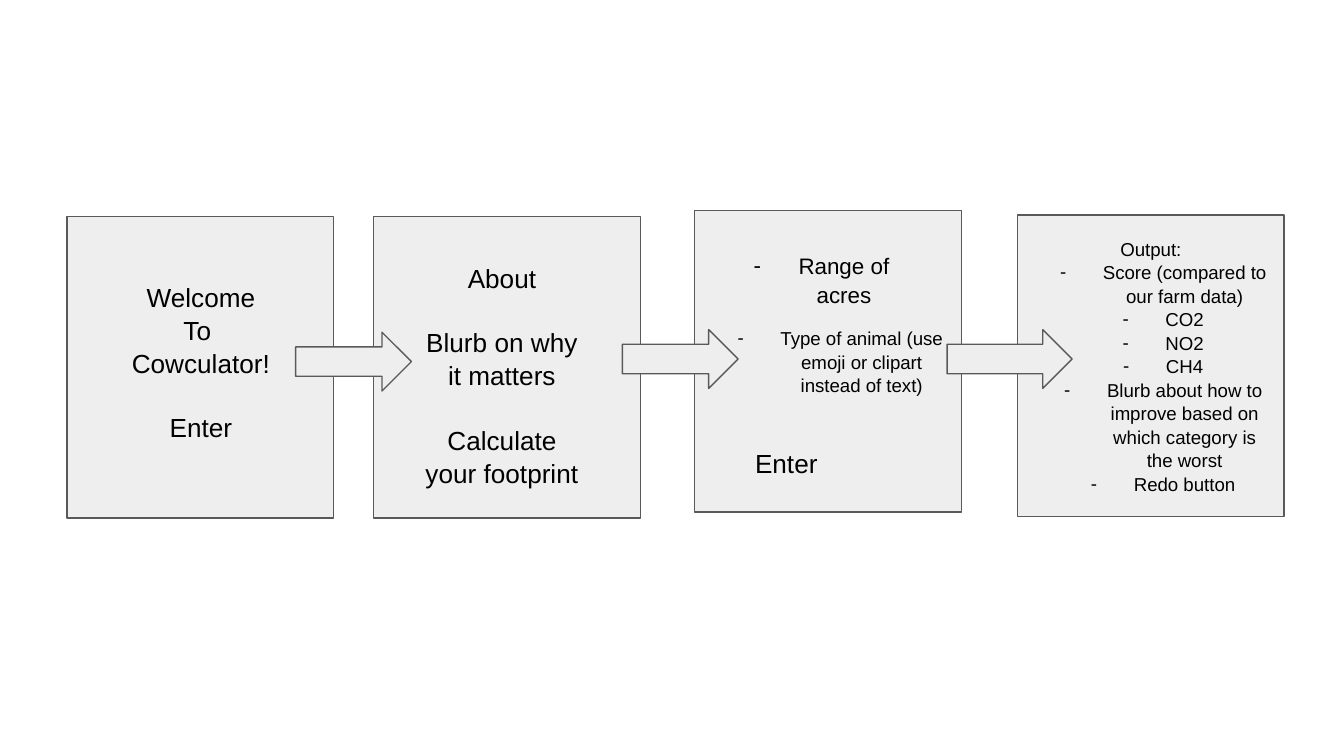
import pptx
import pptx.util
import pptx.dml.color
import pptx.enum.shapes
import pptx.enum.text
import lxml.etree
import pptx.oxml.ns

Pt = pptx.util.Pt
RGB = pptx.dml.color.RGBColor.from_string
Shapes = pptx.enum.shapes.MSO_SHAPE
Align = pptx.enum.text.PP_ALIGN
COLORS = {"fill": "EEEEEE", "line": "595959", "text": "000000"}
LINE_SPACING = 1.05
CARD_WIDTH, CARD_HEIGHT = 142.8, 161.5


def add_panel(page, kind, left, top, width, height):
    panel = page.shapes.add_shape(kind, Pt(left), Pt(top), Pt(width), Pt(height))
    panel.shadow.inherit = False
    panel.fill.solid()
    panel.fill.fore_color.rgb = RGB(COLORS["fill"])
    panel.line.color.rgb = RGB(COLORS["line"])
    panel.line.width = Pt(0.75)
    return panel


def write_text(box, lines, size, align=Align.CENTER, gap=0, hanging=0, first_bullet=0):
    frame = box.text_frame
    frame.word_wrap = True
    frame.margin_left = frame.margin_right = Pt(7.2)
    frame.margin_top = frame.margin_bottom = Pt(7.2)
    frame.text = "\n".join(lines)
    for index, para in enumerate(frame.paragraphs):
        para.alignment = align
        para.line_spacing = LINE_SPACING
        para.space_before = Pt(gap if index else 0)
        for span in para.runs:
            span.font.size = Pt(size)
            span.font.name = "Arial"
            span.font.color.rgb = RGB(COLORS["text"])
        if hanging and index >= first_bullet:
            properties = para._p.get_or_add_pPr()
            properties.set("marL", str(Pt(36)))
            properties.set("indent", str(-Pt(hanging)))
            color = lxml.etree.SubElement(properties, pptx.oxml.ns.qn("a:buClr"))
            lxml.etree.SubElement(color, pptx.oxml.ns.qn("a:srgbClr"), val=COLORS["text"])
            lxml.etree.SubElement(properties, pptx.oxml.ns.qn("a:buFont"), typeface="Arial")
            lxml.etree.SubElement(properties, pptx.oxml.ns.qn("a:buChar"), char="-")


deck = pptx.Presentation()
deck.slide_width, deck.slide_height = Pt(720), Pt(405)
page = deck.slides.add_slide(deck.slide_layouts[6])

cards = []
for left, top in [(36, 116), (200.2, 116), (372.2, 112.8), (545.2, 115.2)]:
    cards.append(add_panel(page, Shapes.RECTANGLE, left, top, CARD_WIDTH, CARD_HEIGHT))
welcome_card, about_card, input_card, output_card = cards

animal = ["Type of animal (use emoji or clipart instead of text)"]
output = [
    "Output:",
    "Score (compared to our farm data)",
    "CO2",
    "NO2",
    "CH4",
    "Blurb about how to improve based on which category is the worst",
    "Redo button",
]
write_text(input_card, animal, 10, hanging=23)
write_text(output_card, output, 10, hanging=23, first_bullet=1)
for card in (input_card, output_card):
    card.text_frame.vertical_anchor = pptx.enum.text.MSO_ANCHOR.MIDDLE

labels = [
    (56.9, 142.6, 101.5, 99.4, ["Welcome\vTo \vCowculator!", "Enter"], 14, {"gap": 16.9}),
    (220.3, 132.5, 97.2, 133.2,
     ["About", "Blurb on why it matters", "Calculate your footprint"], 14, {"gap": 16.9}),
    (381.6, 127.4, 105.1, 43.9, ["Range of acres"], 12, {"hanging": 24}),
    (397.4, 231.8, 77.8, 31.7, ["Enter"], 14, {"align": Align.LEFT}),
]
for left, top, width, height, lines, size, options in labels:
    box = page.shapes.add_textbox(Pt(left), Pt(top), Pt(width), Pt(height))
    write_text(box, lines, size, **options)

for left, top, width in [(158.4, 178), (333.4, 176.6), (507.4, 176.6)] and [
    (158.4, 178, 62), (333.4, 176.6, 62), (507.4, 176.6, 67)
]:
    add_panel(page, Shapes.RIGHT_ARROW, left, top, width, 31.5)

deck.save("out.pptx")
